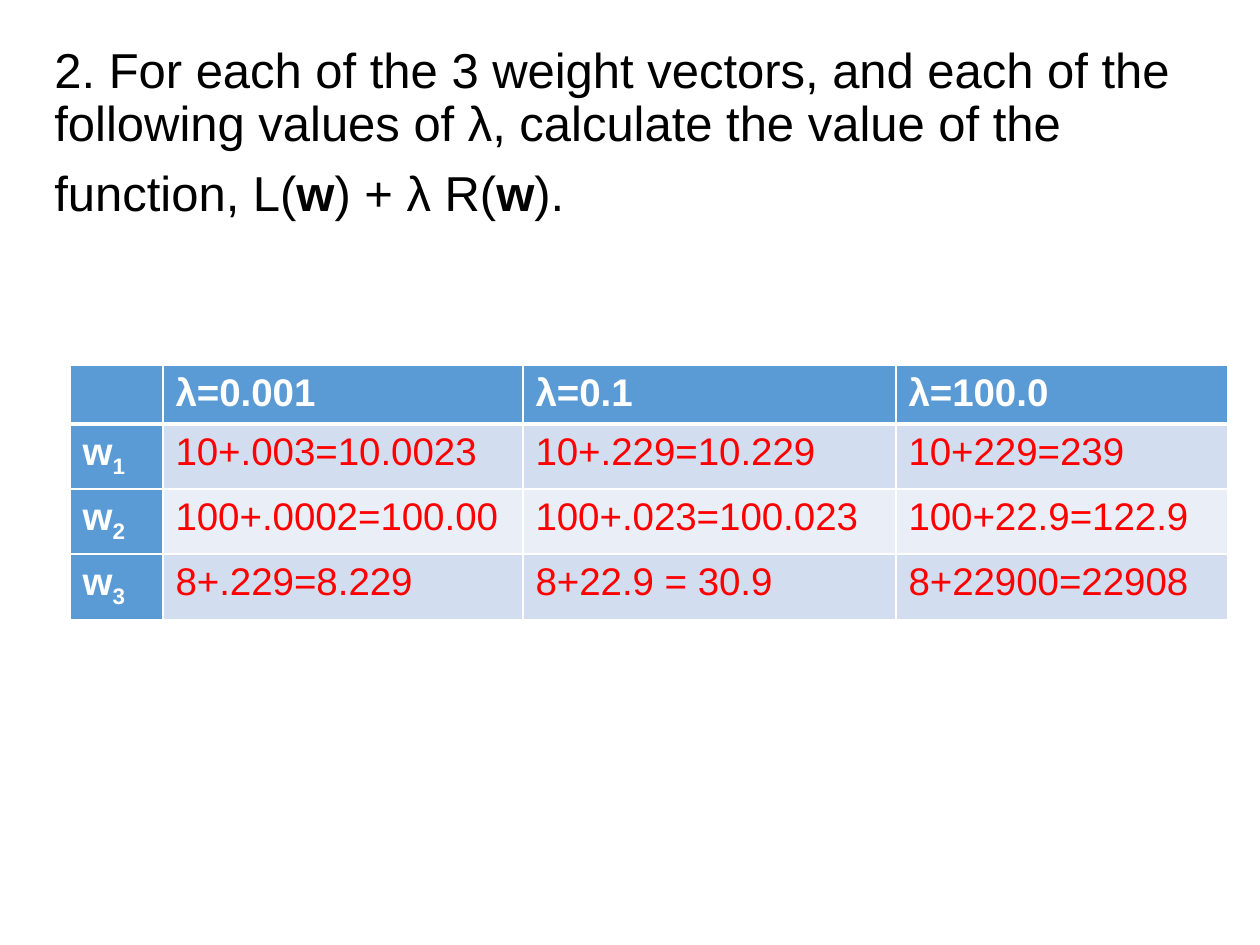
from dataclasses import dataclass
from typing import NamedTuple

from lxml.etree import SubElement
from pptx import Presentation
from pptx.dml.color import RGBColor
from pptx.oxml.ns import qn
from pptx.util import Emu, Pt

EMU_PER_PIXEL = 914400 / 126


@dataclass(frozen=True)
class Theme:
    font: str = "Arial"
    text: str = "000000"
    answer: str = "FF0000"
    light: str = "FFFFFF"
    header: str = "5B9BD5"
    bands: tuple[str, str] = ("D2DEEF", "EAEFF7")
    question_size: int = 28
    table_size: int = 22
    rule: int = 1
    header_rule: int = 3


class Span(NamedTuple):
    text: str
    bold: bool = False
    subscript: bool = False


class Box(NamedTuple):
    left: int
    top: int
    width: int
    height: int


class Row(NamedTuple):
    label: list[Span]
    values: tuple[str, str, str]
    height: int


THEME = Theme()
QUESTION_BOX = Box(42, 40, 1218, 883)
QUESTION = [
    [Span("2. For each of the 3 weight vectors, and each of the "
          "following values of λ, calculate the value of the")],
    [Span("function, L("), Span("w", True), Span(") + λ R("),
     Span("w", True), Span(").")],
]
COLUMNS = (93, 360, 373, 332)
HEADER_HEIGHT, BODY_HEIGHT = 55, 62
TABLE_BOX = Box(70, 365, sum(COLUMNS), HEADER_HEIGHT + 3 * BODY_HEIGHT)
ANSWERS = [
    ("10+.003=10.0023", "10+.229=10.229", "10+229=239"),
    ("100+.0002=100.00", "100+.023=100.023", "100+22.9=122.9"),
    ("8+.229=8.229", "8+22.9 = 30.9", "8+22900=22908"),
]
ROWS = [Row([], ("λ=0.001", "λ=0.1", "λ=100.0"), HEADER_HEIGHT)] + [
    Row([Span("w", True), Span(str(number), True, True)], values, BODY_HEIGHT)
    for number, values in enumerate(ANSWERS, 1)
]


def px(length: int) -> Emu:
    return Emu(round(length * EMU_PER_PIXEL))


def write(para, spans: list[Span], size: int, color: str) -> None:
    para.font.size = Pt(size)
    for span in spans:
        run = para.add_run()
        run.text = span.text
        run.font.name = THEME.font
        run.font.size = Pt(size)
        run.font.bold = span.bold
        run.font.color.rgb = RGBColor.from_string(color)
        if span.subscript:
            run.font._element.set("baseline", "-25000")


def draw_borders(cell, row_index: int) -> None:
    widths = {"lnL": THEME.rule, "lnR": THEME.rule,
              "lnT": THEME.header_rule if row_index == 1 else THEME.rule,
              "lnB": THEME.header_rule if row_index == 0 else THEME.rule}
    properties = cell._tc.get_or_add_tcPr()
    for side, width in widths.items():
        line = SubElement(properties, qn(f"a:{side}"), w=str(Pt(width)))
        fill = SubElement(line, qn("a:solidFill"))
        SubElement(fill, qn("a:srgbClr"), val=THEME.light)


def draw_cell(cell, spans: list[Span], row_index: int, is_header: bool) -> None:
    draw_borders(cell, row_index)
    fill = THEME.header if is_header else THEME.bands[(row_index - 1) % 2]
    cell.fill.solid()
    cell.fill.fore_color.rgb = RGBColor.from_string(fill)
    color = THEME.light if is_header else THEME.answer
    write(cell.text_frame.paragraphs[0], spans, THEME.table_size, color)


def draw_question(page) -> None:
    frame = page.shapes.add_textbox(*map(px, QUESTION_BOX)).text_frame
    frame.word_wrap = True
    for index, spans in enumerate(QUESTION):
        para = frame.add_paragraph() if index else frame.paragraphs[0]
        para.line_spacing = 0.9
        para.space_before = Pt(10)
        write(para, spans, THEME.question_size, THEME.text)


def draw_table(page) -> None:
    table = page.shapes.add_table(
        len(ROWS), len(COLUMNS), *map(px, TABLE_BOX)).table
    table.first_col = True
    for column, width in zip(table.columns, COLUMNS):
        column.width = px(width)
    for row_index, row in enumerate(ROWS):
        table.rows[row_index].height = px(row.height)
        draw_cell(table.cell(row_index, 0), row.label, row_index, True)
        for column_index, value in enumerate(row.values, 1):
            is_header = row_index == 0
            draw_cell(table.cell(row_index, column_index),
                      [Span(value, is_header)], row_index, is_header)


deck = Presentation()
deck.slide_width, deck.slide_height = px(1260), px(945)
page = deck.slides.add_slide(deck.slide_layouts[6])

# Question above the table of answers
draw_question(page)
draw_table(page)

deck.save("out.pptx")
